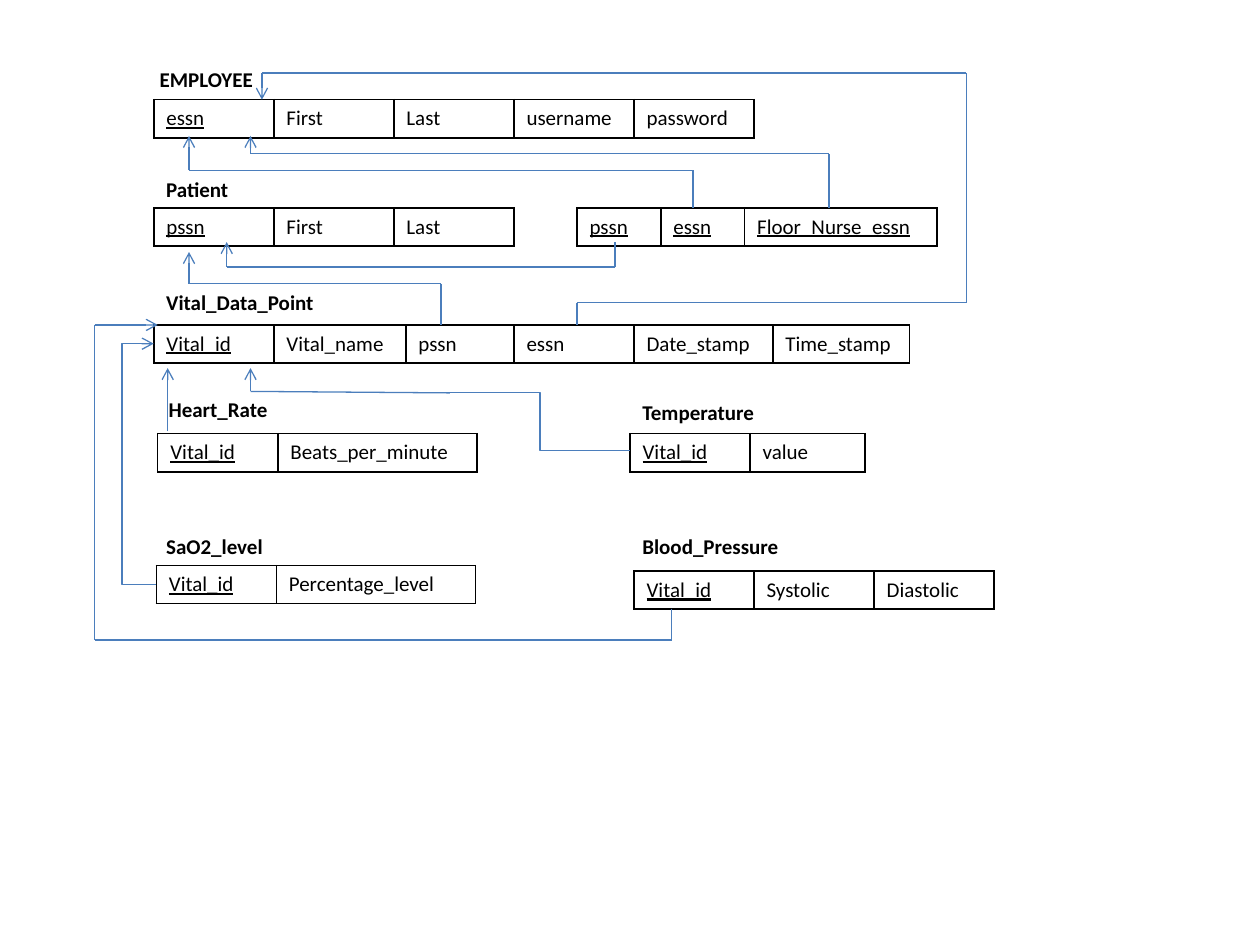
import dataclasses
import itertools

import pptx
import pptx.dml.color
import pptx.enum.shapes
import pptx.oxml.ns
import pptx.util
from lxml import etree

Cm = pptx.util.Cm
CONNECTOR = pptx.enum.shapes.MSO_CONNECTOR


@dataclasses.dataclass(frozen=True)
class Theme:
    font: str = "Calibri"
    text_size: float = 12
    ink: str = "000000"
    arrow: str = "4B7EBC"
    border_width: float = 1
    arrow_width: float = 0.75


THEME = Theme()
COLUMN = 2.42
ROW_HEIGHT = 0.77

# Relations: title (text, left, top, width), table corner,
# number of underlined key columns, columns (name, width); lengths in cm
RELATIONS = [
    (("EMPLOYEE", 2.97, 1.22, 2.74), (3.1, 2.01), 1,
     [("essn", COLUMN), ("First", COLUMN), ("Last", COLUMN),
      ("username", COLUMN), ("password", COLUMN)]),
    (("Patient", 3.1, 3.43, 2.97), (3.1, 4.19), 1,
     [("pssn", COLUMN), ("First", COLUMN), ("Last", COLUMN)]),
    (None, (11.63, 4.19), 3,
     [("pssn", 1.69), ("essn", 1.69), ("Floor_Nurse_essn", 3.88)]),
    (("Vital_Data_Point", 3.1, 5.72, 3.91), (3.1, 6.55), 1,
     [("Vital_id", COLUMN), ("Vital_name", 2.66), ("pssn", 2.18),
      ("essn", COLUMN), ("Date_stamp", 2.8), ("Time_stamp", 2.76)]),
    (("Heart_Rate", 3.15, 7.87, 2.97), (3.18, 8.74), 1,
     [("Vital_id", COLUMN), ("Beats_per_minute", 4.02)]),
    (("Temperature", 12.7, 7.92, 2.97), (12.7, 8.74), 1,
     [("Vital_id", COLUMN), ("value", 2.32)]),
    (("SaO2_level", 3.1, 10.64, 2.84), (3.15, 11.4), 1,
     [("Vital_id", COLUMN), ("Percentage_level", 4.02)]),
    (("Blood_Pressure", 12.7, 10.64, 3.68), (12.78, 11.51), 1,
     [("Vital_id", COLUMN), ("Systolic", COLUMN), ("Diastolic", COLUMN)]),
]

# Foreign keys drawn as straight pieces, arrowhead on the last one
ROUTES = [
    [(9.07, 7.92), (5.05, 7.89), (5.05, 7.42)],
    [(3.38, 8.69), (3.38, 7.42)],
    [(8.89, 6.55), (8.89, 5.72), (3.81, 5.72), (3.81, 5.08)],
    [(13.54, 12.27), (13.54, 12.9), (1.91, 12.9), (1.91, 6.55), (3.18, 6.55)],
    [(11.63, 6.55), (11.63, 6.1), (19.48, 6.1), (19.48, 1.47),
     (5.28, 1.47), (5.28, 2.01)],
    [(12.4, 4.88), (12.4, 5.38), (4.57, 5.38), (4.57, 4.88)],
    [(13.97, 4.19), (13.97, 3.43), (3.81, 3.43), (3.81, 2.74)],
    [(16.71, 4.19), (16.71, 3.1), (5.05, 3.1), (5.05, 2.74)],
]

# Elbows: start, end, x of the vertical piece, arrowhead
ELBOWS = [
    ((3.15, 11.79), (3.1, 6.93), 2.46, True),
    ((12.7, 9.09), (9.07, 7.92), 10.89, False),
]


def color(value):
    return pptx.dml.color.RGBColor.from_string(value)


def add_element(parent, tag, **attributes):
    return etree.SubElement(parent, pptx.oxml.ns.qn(tag), **attributes)


def write_text(text_frame, text, bold=False, underline=False):
    run = text_frame.paragraphs[0].add_run()
    run.text = text
    run.font.name = THEME.font
    run.font.size = pptx.util.Pt(THEME.text_size)
    run.font.color.rgb = color(THEME.ink)
    run.font.bold = bold
    run.font.underline = underline


def add_title(slide, text, left, top, width):
    box = slide.shapes.add_textbox(Cm(left), Cm(top), Cm(width), Cm(ROW_HEIGHT))
    box.text_frame.word_wrap = True
    write_text(box.text_frame, text, bold=True)


def add_borders(cell):
    properties = cell._tc.get_or_add_tcPr()
    width = str(pptx.util.Pt(THEME.border_width))
    for side in ("a:lnL", "a:lnR", "a:lnT", "a:lnB"):
        line = add_element(properties, side, w=width)
        fill = add_element(line, "a:solidFill")
        add_element(fill, "a:srgbClr", val=THEME.ink)


def add_relation_table(slide, corner, key_count, columns):
    left, top = corner
    width = sum(column_width for _, column_width in columns)
    table = slide.shapes.add_table(
        1, len(columns), Cm(left), Cm(top), Cm(width), Cm(ROW_HEIGHT)).table
    table.first_row = table.horz_banding = False
    for index, (name, column_width) in enumerate(columns):
        table.columns[index].width = Cm(column_width)
        cell = table.cell(0, index)
        add_borders(cell)
        cell.fill.background()
        write_text(cell.text_frame, name, underline=index < key_count)


def add_line(slide, kind, start, end, arrow):
    connector = slide.shapes.add_connector(
        kind, *(Cm(value) for value in (*start, *end)))
    connector.line.color.rgb = color(THEME.arrow)
    connector.line.width = pptx.util.Pt(THEME.arrow_width)
    if arrow:
        add_element(connector.line._get_or_add_ln(), "a:tailEnd", type="arrow")
    add_element(connector._element.spPr, "a:effectLst")
    return connector


def add_elbow(slide, start, end, bend_x, arrow):
    connector = add_line(slide, CONNECTOR.ELBOW, start, end, arrow)
    ratio = round((bend_x - start[0]) / (end[0] - start[0]) * 100000)
    geometry = connector._element.spPr.find(pptx.oxml.ns.qn("a:prstGeom"))
    guides = geometry.find(pptx.oxml.ns.qn("a:avLst"))
    if guides is None:
        guides = add_element(geometry, "a:avLst")
    add_element(guides, "a:gd", name="adj1", fmla=f"val {ratio}")


presentation = pptx.Presentation()
presentation.slide_width = Cm(25.4)
presentation.slide_height = Cm(19.05)
slide = presentation.slides.add_slide(presentation.slide_layouts[6])

# Relations
for title, corner, key_count, columns in RELATIONS:
    add_relation_table(slide, corner, key_count, columns)
    if title:
        add_title(slide, *title)

# Foreign keys
for elbow in ELBOWS:
    add_elbow(slide, *elbow)
for route in ROUTES:
    for start, end in itertools.pairwise(route):
        add_line(slide, CONNECTOR.STRAIGHT, start, end, arrow=end == route[-1])

presentation.save("out.pptx")
